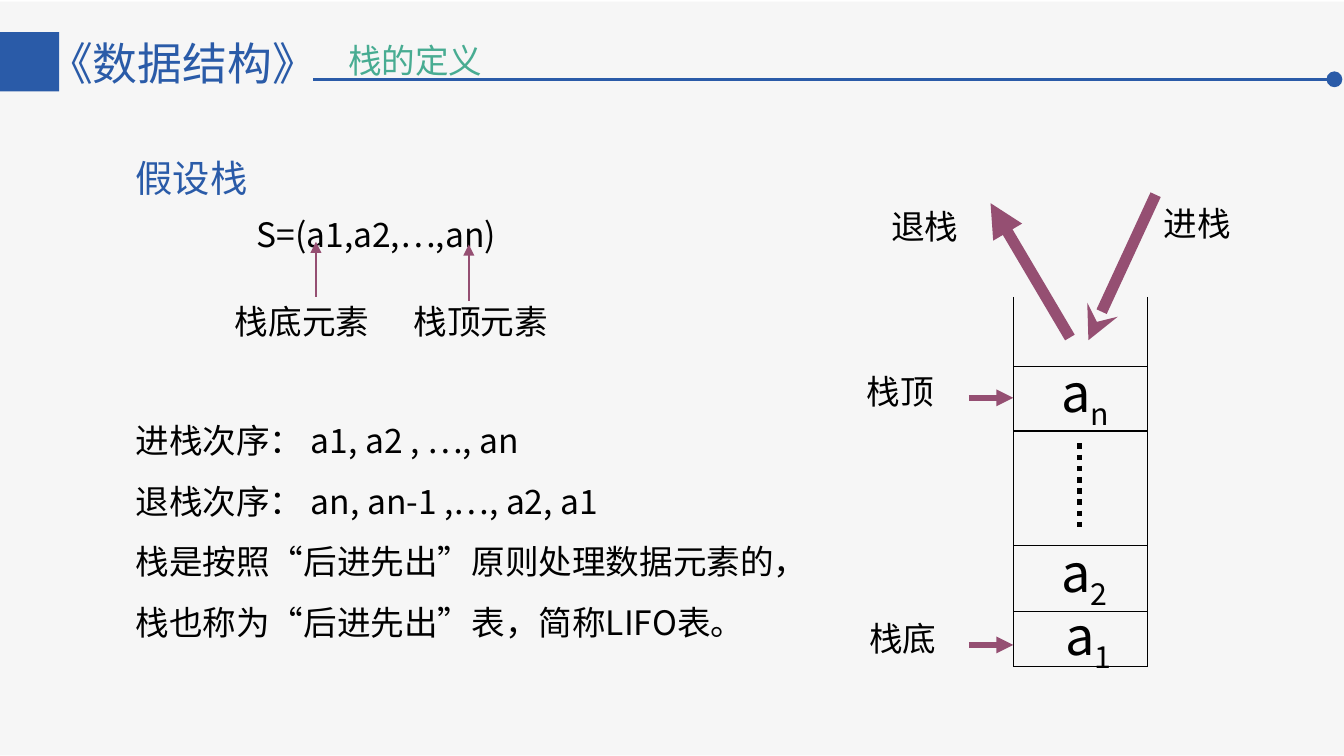
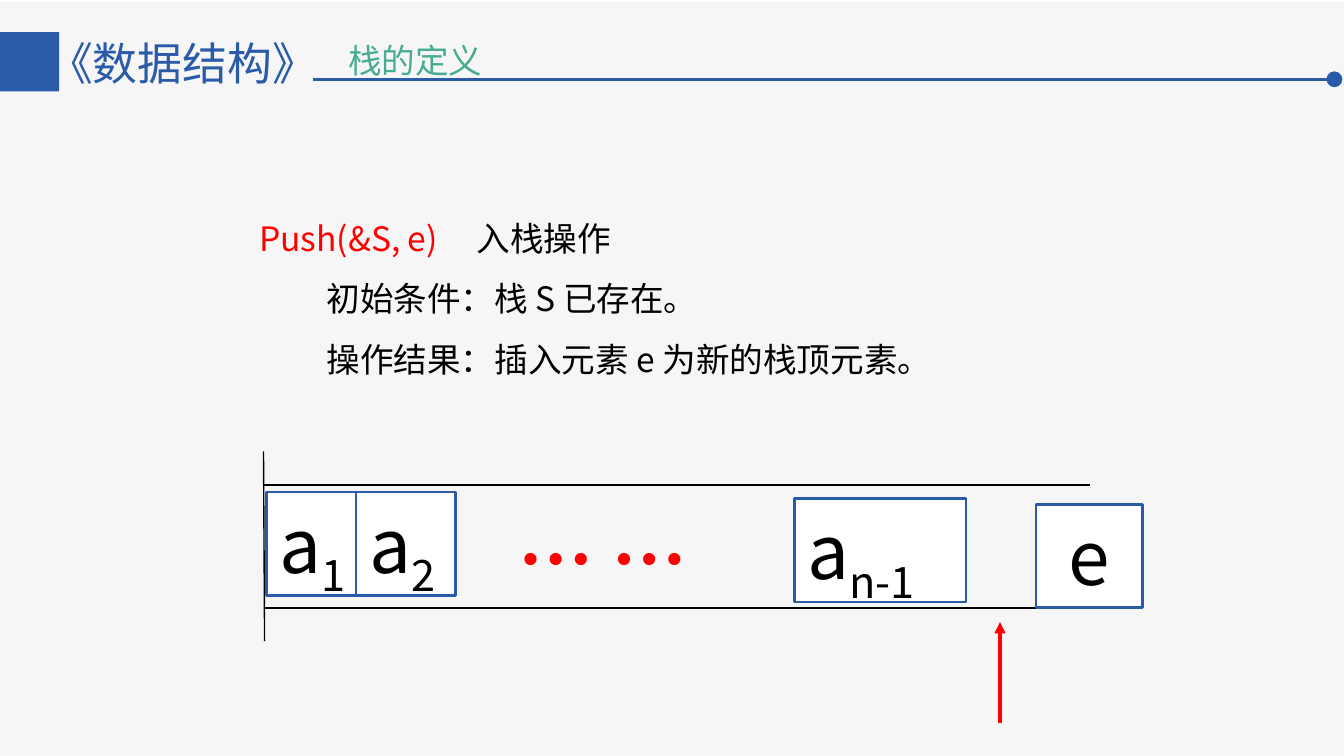
from dataclasses import dataclass
from typing import Optional

from lxml.etree import SubElement
from pptx import Presentation
from pptx.dml.color import RGBColor
from pptx.enum.dml import MSO_LINE as Dash
from pptx.enum.shapes import MSO_CONNECTOR as Connector, MSO_SHAPE as Preset
from pptx.enum.text import MSO_ANCHOR as Anchor, MSO_AUTO_SIZE as AutoSize, PP_ALIGN as Align
from pptx.oxml.ns import qn
from pptx.util import Cm, Pt

BLUE = RGBColor(0x2A, 0x5B, 0xA8)
GREEN = RGBColor(0x48, 0xAC, 0x92)
PLUM = RGBColor(0x95, 0x4F, 0x72)
RED = RGBColor(0xFF, 0x00, 0x00)
BLACK = RGBColor(0x00, 0x00, 0x00)
WHITE = RGBColor(0xFF, 0xFF, 0xFF)
PANEL = RGBColor(0xF6, 0xF6, 0xF6)
SANS = "Noto Sans CJK JP"
SERIF = "Times New Roman"


@dataclass
class Label:
    """Text at a place in cm; an underscore starts a subscript."""
    text: str
    left: float
    top: float
    width: float
    height: float
    size: float = 18
    color: RGBColor = BLACK
    font: str = SANS
    bold: Optional[bool] = None
    spacing: Optional[float] = None
    wrap: bool = True
    align: Align = Align.LEFT


@dataclass
class Stroke:
    """Straight line between two points in cm."""
    x1: float
    y1: float
    x2: float
    y2: float
    color: RGBColor = BLACK
    weight: float = 0.75
    head: Optional[str] = None
    dash: Optional[Dash] = None


# Drawing helpers
def style_span(span, label: Label) -> None:
    span.font.size = Pt(label.size)
    span.font.bold = label.bold
    span.font.color.rgb = label.color
    span.font.name = label.font
    SubElement(span.font._element, qn("a:ea"), typeface=label.font)


def write_text(shape, label: Label) -> None:
    frame = shape.text_frame
    frame.word_wrap = label.wrap
    frame.auto_size = AutoSize.SHAPE_TO_FIT_TEXT
    frame.vertical_anchor = Anchor.TOP
    for index, line in enumerate(label.text.split("\n")):
        para = frame.add_paragraph() if index else frame.paragraphs[0]
        para.alignment = label.align
        para.line_spacing = label.spacing
        for level, part in enumerate(line.split("_")):
            span = para.add_run()
            span.text = part
            style_span(span, label)
            if level:
                span.font._element.set("baseline", "-25000")


def add_label(page, label: Label):
    place = (label.left, label.top, label.width, label.height)
    box = page.shapes.add_textbox(*map(Cm, place))
    write_text(box, label)
    return box


def add_block(shapes, preset: Preset, left: float, top: float, width: float,
              height: float, fill: RGBColor, border: Optional[RGBColor] = None):
    block = shapes.add_shape(preset, Cm(left), Cm(top), Cm(width), Cm(height))
    block.shadow.inherit = False
    block.fill.solid()
    block.fill.fore_color.rgb = fill
    if border is None:
        block.line.fill.background()
    else:
        block.line.color.rgb = border
        block.line.width = Pt(1.5)
    return block


def add_cell(page, label: Label) -> None:
    cell = add_block(page.shapes, Preset.RECTANGLE, label.left, label.top,
                     label.width, label.height, WHITE, BLUE)
    write_text(cell, label)


def add_stroke(shapes, stroke: Stroke) -> None:
    ends = map(Cm, (stroke.x1, stroke.y1, stroke.x2, stroke.y2))
    connector = shapes.add_connector(Connector.STRAIGHT, *ends)
    connector.line.color.rgb = stroke.color
    connector.line.width = Pt(stroke.weight)
    if stroke.dash is not None:
        connector.line.dash_style = stroke.dash
    if stroke.head:
        SubElement(connector.line._get_or_add_ln(), qn("a:tailEnd"), type=stroke.head)
    SubElement(connector._element.spPr, qn("a:effectLst"))


def add_page(deck):
    """New page with the shared panel, course title, topic and rule."""
    page = deck.slides.add_slide(deck.slide_layouts[6])
    add_block(page.shapes, Preset.RECTANGLE, 0, 0.03, 25.4, 14.25, PANEL)
    add_label(page, Label("《数据结构》", 0.66, 0.56, 5.74, 1.27, 24, BLUE))
    add_block(page.shapes, Preset.RECTANGLE, 0, 0.61, 1.12, 1.12, BLUE)
    topic = add_label(page, Label("栈的定义", 6.4, 0.66, 7.8, 0.99, color=GREEN))
    frame = topic.text_frame
    frame.auto_size = AutoSize.NONE
    frame.margin_left = frame.margin_right = Cm(0.18)
    frame.margin_top = frame.margin_bottom = Cm(0.1)
    rule = page.shapes.add_group_shape()
    add_stroke(rule.shapes, Stroke(5.92, 1.5, 25.07, 1.5, BLUE, 1.75))
    add_block(rule.shapes, Preset.OVAL, 25.07, 1.35, 0.3, 0.3, BLUE)
    return page


def build_definition(deck) -> None:
    page = add_page(deck)

    # Definition and order of operations
    orders = "\n".join((
        "进栈次序： a1, a2 , …, an",
        "退栈次序： an, an-1 ,…, a2, a1",
        "栈是按照“后进先出”原则处理数据元素的，",
        "栈也称为“后进先出”表，简称LIFO表。",
    ))
    labels = [
        Label("假设栈", 2.31, 2.39, 3.33, 1.55, 20, BLUE, spacing=1.5),
        Label("S=(a1,a2,…,an)", 4.6, 3.53, 7.01, 1.42, spacing=1.5),
        Label(orders, 2.31, 7.44, 13.03, 4.88, spacing=1.5),
        Label("栈底元素", 4.19, 5.56, 4.39, 1.02),
        Label("栈顶元素", 7.57, 5.56, 5.46, 1.02),
    ]
    strokes = [
        Stroke(5.97, 5.61, 5.97, 4.57, PLUM, head="triangle"),
        Stroke(8.86, 5.69, 8.86, 4.62, PLUM, head="triangle"),
    ]

    # Stack outline and its levels
    left, right, top, bottom = 19.15, 21.69, 5.61, 12.6
    strokes += [Stroke(x, top, x, bottom) for x in (left, right)]
    strokes += [Stroke(left, y, right, y) for y in (6.93, 8.15, 10.31, 11.56, bottom)]
    strokes.append(Stroke(20.4, 8.38, 20.4, 10.06, weight=3, dash=Dash.ROUND_DOT))

    # Elements, pointers and push/pop arrows
    labels += [Label(text, x, y, 1.7, 1.45, 28) for text, x, y in (
        ("a_1", 19.89, 11.28), ("a_2", 19.81, 10.08), ("a_n", 19.81, 6.68))]
    labels += [Label(text, x, y, 1.8, 1.02, wrap=False) for text, x, y in (
        ("栈顶", 16.13, 6.88), ("栈底", 16.18, 11.56),
        ("进栈", 21.74, 3.71), ("退栈", 16.59, 3.76))]
    strokes += [Stroke(18.31, y, left, y, PLUM, 3, "triangle") for y in (7.52, 12.19)]
    strokes += [
        Stroke(21.84, 3.68, 20.57, 6.43, PLUM, 6, "stealth"),
        Stroke(20.22, 6.38, 18.72, 3.84, PLUM, 6, "triangle"),
    ]

    for label in labels:
        add_label(page, label)
    for stroke in strokes:
        add_stroke(page.shapes, stroke)


def build_push(deck) -> None:
    page = add_page(deck)

    # Operation description: call and name on a tab stop, details indented
    details = "Push(&S, e)\n初始条件：栈 S 已存在。\n操作结果：插入元素 e 为新的栈顶元素。"
    text = Label(details, 4.65, 3.61, 20.22, 3.71, spacing=1.5)
    box = add_label(page, text)
    call, *rest = box.text_frame.paragraphs
    call.runs[0].font.color.rgb = RED
    tabs = SubElement(call._p.get_or_add_pPr(), qn("a:tabLst"))
    SubElement(tabs, qn("a:tab"), pos=str(Cm(4.11)), algn="l")
    name = call.add_run()
    name.text = "\t入栈操作"
    style_span(name, text)
    for para in rest:
        properties = para._p.get_or_add_pPr()
        properties.set("marL", str(Cm(1.27)))
        properties.set("indent", "0")

    # Stack lying on its side
    add_stroke(page.shapes, Stroke(4.98, 8.53, 5, 12.12))
    for y in (9.17, 11.49):
        add_stroke(page.shapes, Stroke(4.98, y, 20.6, y))
    for cell in (
        Label("a_1", 5.03, 9.3, 1.88, 1.96, 40, wrap=False),
        Label("a_2", 6.73, 9.3, 1.88, 1.96, 40, wrap=False),
        Label("a_n-1", 15.01, 9.42, 3.25, 1.96, 40),
        Label("e", 19.58, 9.53, 2.01, 1.96, 40, wrap=False, align=Align.CENTER),
    ):
        add_cell(page, cell)
    add_label(page, Label("… …", 9.55, 9.14, 3.68, 1.96, 40, RED, SERIF, True, wrap=False))
    add_stroke(page.shapes, Stroke(18.9, 13.67, 18.9, 11.76, RED, 2, "triangle"))


def main() -> None:
    deck = Presentation()
    deck.slide_width, deck.slide_height = Cm(25.4), Cm(14.29)
    build_definition(deck)
    build_push(deck)
    deck.save("out.pptx")


if __name__ == "__main__":
    main()
